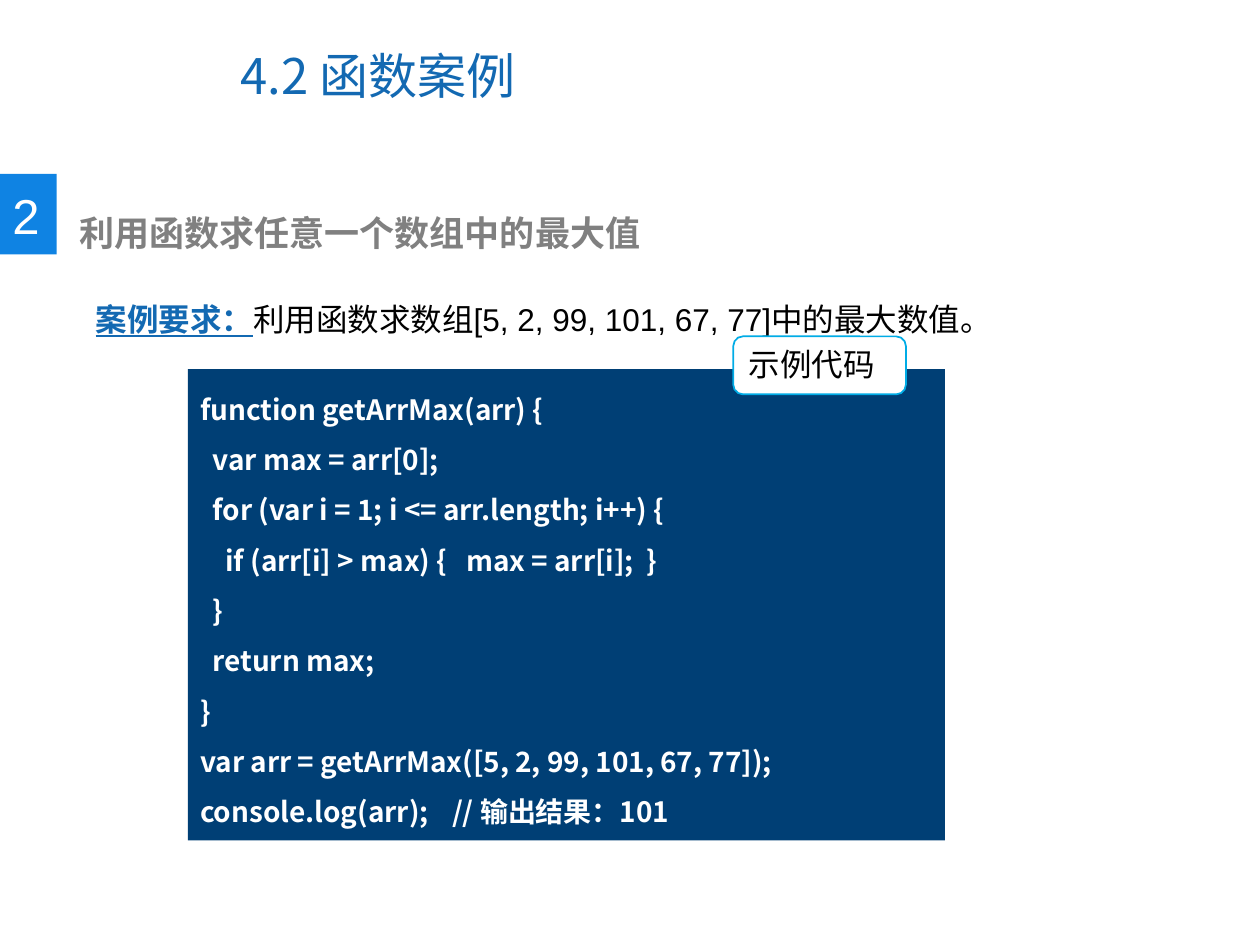
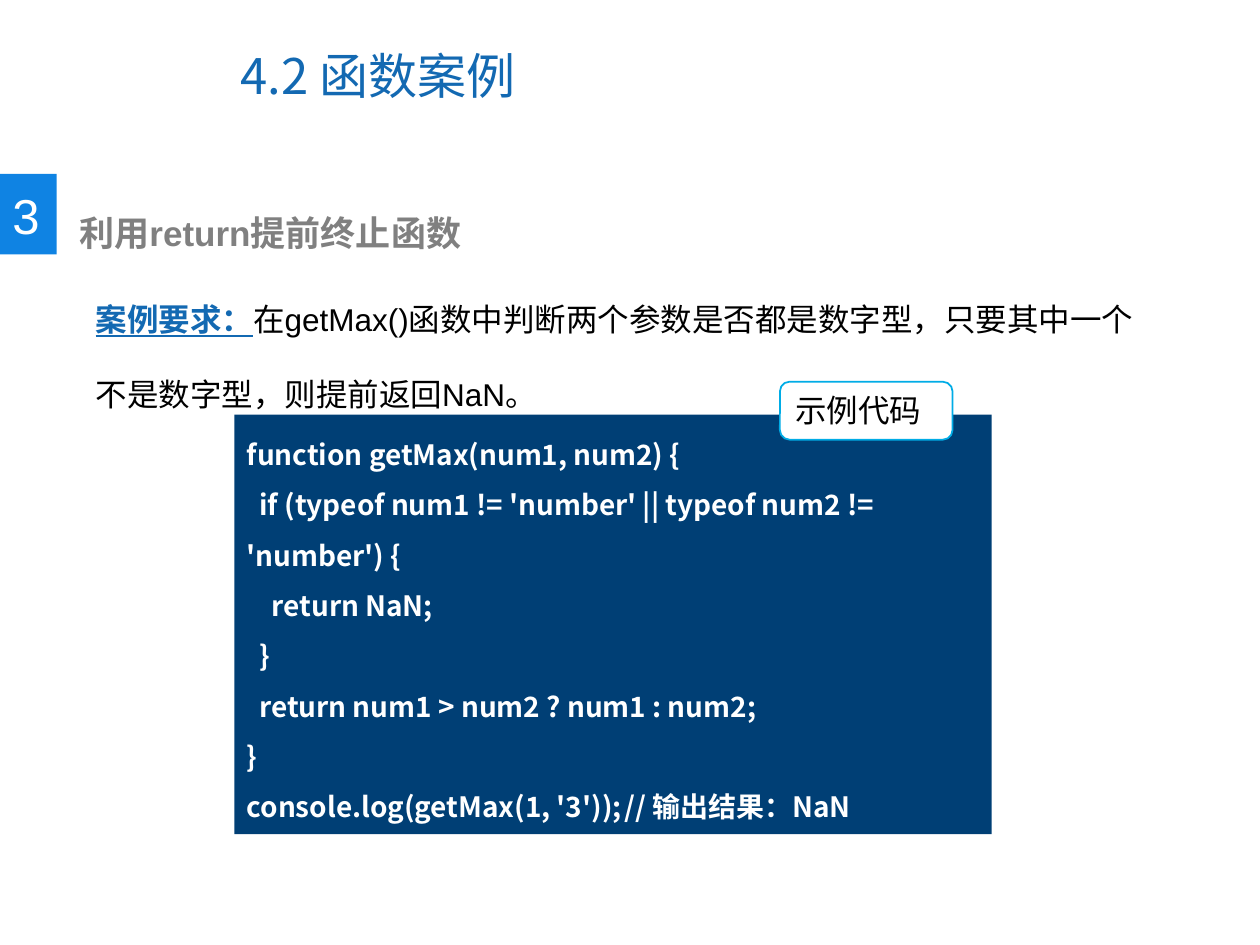
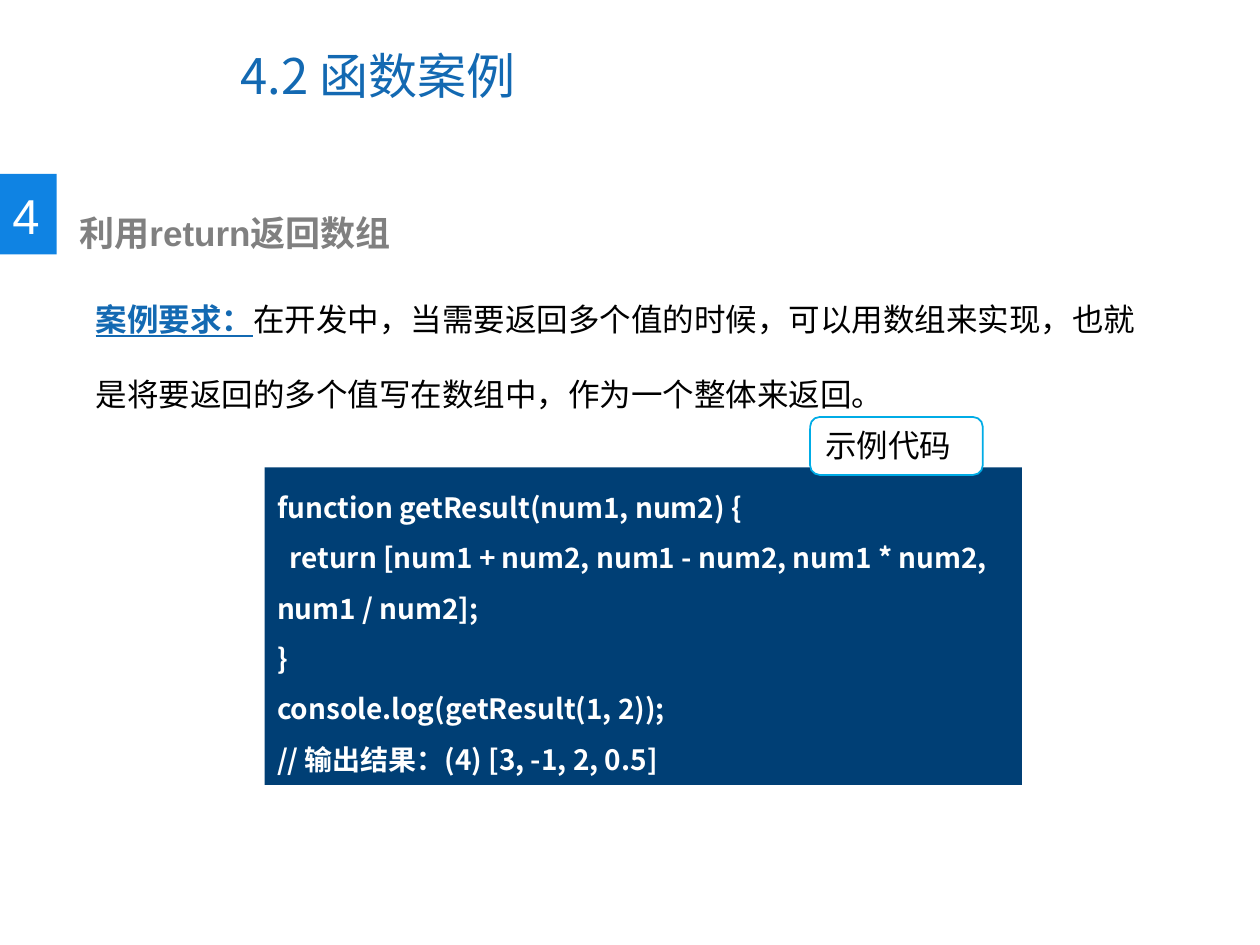
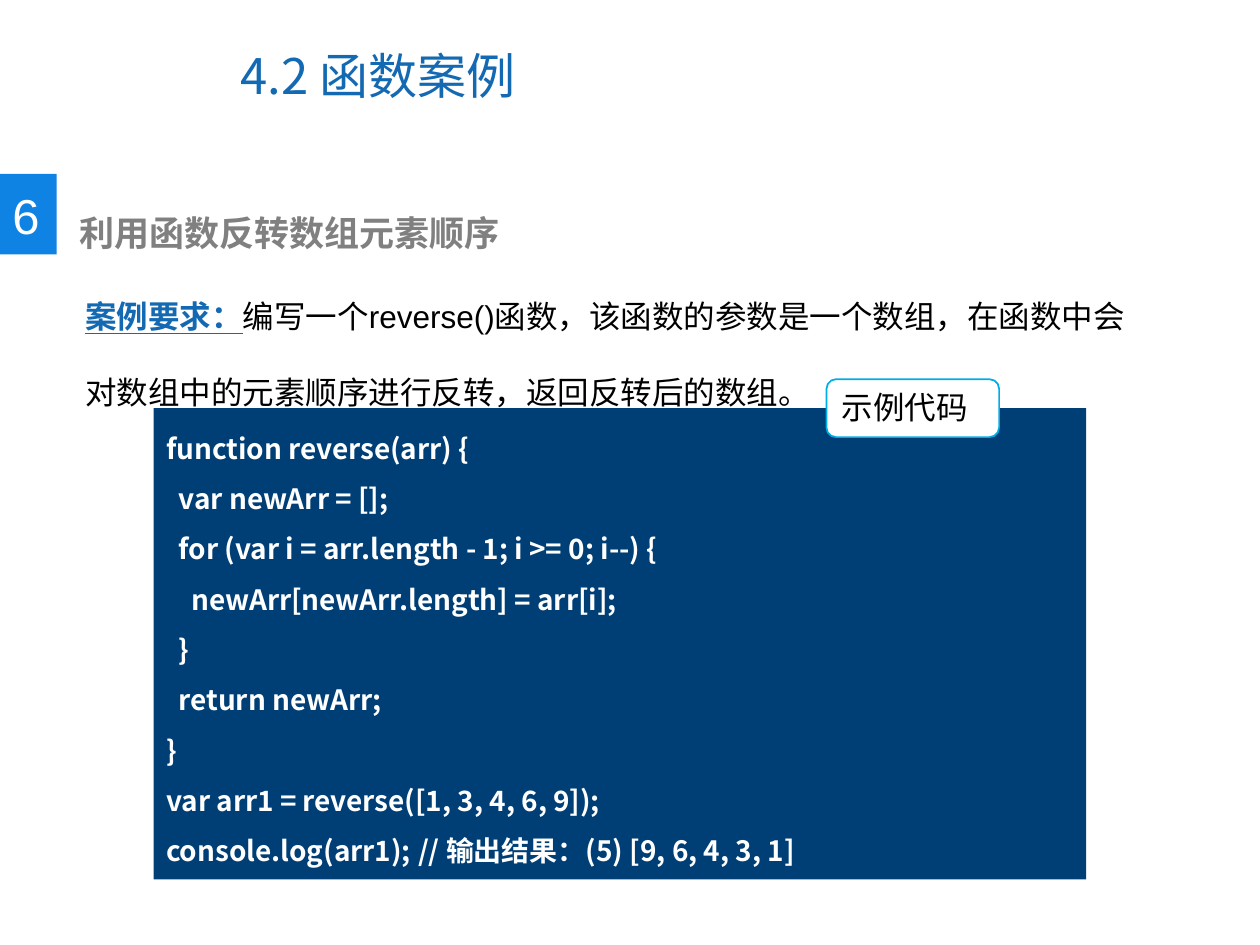
from dataclasses import dataclass

from lxml import etree
from pptx import Presentation
from pptx.dml.color import RGBColor
from pptx.enum import shapes, text
from pptx.oxml import ns
from pptx.util import Inches, Pt

# Shared style
SANS, CJK = "Arial", "Noto Sans CJK SC"
BLUE, BADGE, NAVY, CYAN = "1369B2", "0F83E3", "003F75", "00ACE6"
GREY, WHITE, BLACK = "808080", "FFFFFF", "000000"
TITLE = "4.2 函数案例"
SPACE_WIDTH = 0.05  # one space of code indentation, in inches


@dataclass
class Box:
    left: float
    top: float
    width: float
    height: float

    def emu(self) -> tuple:
        return tuple(Inches(v) for v in (self.left, self.top, self.width, self.height))


@dataclass
class Case:
    number: str
    heading: str
    task: str
    task_box: Box
    code: str
    code_box: Box
    label_at: tuple[float, float]
    comment_tab: float = 2.0  # where a trailing comment starts


CASES = [
    Case("2", "利用函数求任意一个数组中的最大值",
         "利用函数求数组[5, 2, 99, 101, 67, 77]中的最大数值。",
         Box(0.66, 2.03, 8.65, 0.71),
         """function getArrMax(arr) {
  var max = arr[0];
  for (var i = 1; i <= arr.length; i++) {
    if (arr[i] > max) {   max = arr[i];  }
  }
  return max;
}
var arr = getArrMax([5, 2, 99, 101, 67, 77]);
console.log(arr);\t// 输出结果：101""",
         Box(1.49, 2.93, 6.01, 3.74), (5.82, 2.67)),
    Case("3", "利用return提前终止函数",
         "在getMax()函数中判断两个参数是否都是数字型，只要其中一个不是数字型，则提前返回NaN。",
         Box(0.66, 2.03, 8.65, 1.31),
         """function getMax(num1, num2) {
  if (typeof num1 != 'number' || typeof num2 != 'number') {
    return NaN;
  }
  return num1 > num2 ? num1 : num2;
}
console.log(getMax(1, '3'));\t// 输出结果：NaN""",
         Box(1.86, 3.29, 6.01, 3.33), (6.19, 3.03), 3.17),
    Case("4", "利用return返回数组",
         "在开发中，当需要返回多个值的时候，可以用数组来实现，"
         "也就是将要返回的多个值写在数组中，作为一个整体来返回。",
         Box(0.66, 2.03, 8.65, 1.31),
         """function getResult(num1, num2) {
  return [num1 + num2, num1 - num2, num1 * num2, num1 / num2];
}
console.log(getResult(1, 2));
// 输出结果：(4) [3, -1, 2, 0.5]""",
         Box(2.1, 3.71, 6.01, 2.52), (6.43, 3.31)),
    Case("6", "利用函数反转数组元素顺序",
         "编写一个reverse()函数，该函数的参数是一个数组，"
         "在函数中会对数组中的元素顺序进行反转，返回反转后的数组。",
         Box(0.58, 2.01, 8.65, 1.31),
         """function reverse(arr) {
  var newArr = [];
  for (var i = arr.length - 1; i >= 0; i--) {
    newArr[newArr.length] = arr[i];
  }
  return newArr;
}
var arr1 = reverse([1, 3, 4, 6, 9]);
console.log(arr1);\t// 输出结果：(5) [9, 6, 4, 3, 1]""",
         Box(1.22, 3.24, 7.4, 3.74), (6.56, 3.01), 3.0),
]


def rgb(value: str) -> RGBColor:
    return RGBColor.from_string(value)


def write(p, content: str, *, size: float = 18, color: str = BLACK, font: str = SANS,
          bold: bool = False, underline: bool = False) -> None:
    """Add a formatted run to a paragraph."""
    r = p.add_run()
    r.text = content
    f = r.font
    f.name, f.size, f.bold, f.underline = font, Pt(size), bold, underline
    f.color.rgb = rgb(color)
    ea = etree.SubElement(r._r.get_or_add_rPr(), ns.qn("a:ea"))
    ea.set("typeface", CJK)


def add_panel(parent, kind, box: Box, fill: str, line: str | None = None):
    sp = parent.add_shape(kind, *box.emu())
    sp.shadow.inherit = False
    sp.fill.solid()
    sp.fill.fore_color.rgb = rgb(fill)
    if line:
        sp.line.color.rgb = rgb(line)
        sp.line.width = Pt(1)
    else:
        sp.line.fill.background()
    sp.text_frame.vertical_anchor = text.MSO_ANCHOR.TOP
    sp.text_frame.paragraphs[0].alignment = text.PP_ALIGN.LEFT
    return sp


def add_text(parent, box: Box, wrap: bool = True):
    tf = parent.add_textbox(*box.emu()).text_frame
    tf.word_wrap = wrap
    return tf


def add_title(s) -> None:
    sp = s.shapes.title
    sp.left, sp.top, sp.width, sp.height = Box(1.81, 0.17, 5.16, 0.85).emu()
    tf = sp.text_frame
    tf.auto_size = text.MSO_AUTO_SIZE.NONE
    tf.vertical_anchor = text.MSO_ANCHOR.MIDDLE
    p = tf.paragraphs[0]
    p.alignment = text.PP_ALIGN.LEFT
    write(p, TITLE, size=28, color=BLUE, font=CJK)


def add_heading(s, case: Case) -> None:
    badge = s.shapes.add_group_shape().shapes
    add_panel(badge, shapes.MSO_SHAPE.RECTANGLE, Box(0, 1.38, 0.45, 0.64), BADGE)
    tf = add_text(badge, Box(0, 1.42, 0.42, 0.57), wrap=False)
    write(tf.paragraphs[0], case.number, size=28, color=WHITE)

    tf = add_text(s.shapes, Box(0.42, 1.63, 5.14, 0.44))
    tf.margin_left = Inches(0.21)
    write(tf.paragraphs[0], case.heading, size=20, color=GREY, bold=True)


def add_task(s, case: Case) -> None:
    p = add_text(s.shapes, case.task_box).paragraphs[0]
    p.line_spacing = 2.0
    write(p, "案例要求：", color=BLUE, bold=True, underline=True)
    write(p, case.task)


def add_code(s, case: Case) -> None:
    group = s.shapes.add_group_shape().shapes
    tf = add_panel(group, shapes.MSO_SHAPE.RECTANGLE, case.code_box, NAVY).text_frame
    for i, line in enumerate(case.code.splitlines()):
        p = tf.add_paragraph() if i else tf.paragraphs[0]
        p.alignment = text.PP_ALIGN.LEFT
        p.line_spacing = 1.5
        code = line.lstrip()
        pPr = p._p.get_or_add_pPr()
        pPr.set("indent", str(Inches(SPACE_WIDTH * (len(line) - len(code)))))
        if "\t" in code:
            tabs = etree.SubElement(pPr, ns.qn("a:tabLst"))
            etree.SubElement(tabs, ns.qn("a:tab"),
                             pos=str(Inches(case.comment_tab)), algn="l")
        write(p, code, size=16, color=WHITE, font=CJK, bold=True)

    label = add_panel(group, shapes.MSO_SHAPE.ROUNDED_RECTANGLE,
                      Box(*case.label_at, 1.37, 0.46), WHITE, line=CYAN)
    write(label.text_frame.paragraphs[0], "示例代码")


def main() -> None:
    prs = Presentation()
    prs.slide_width, prs.slide_height = Inches(10), Inches(7.5)
    for case in CASES:
        s = prs.slides.add_slide(prs.slide_layouts[5])  # title only
        add_title(s)
        add_heading(s, case)
        add_task(s, case)
        add_code(s, case)
    prs.save("out.pptx")


if __name__ == "__main__":
    main()
